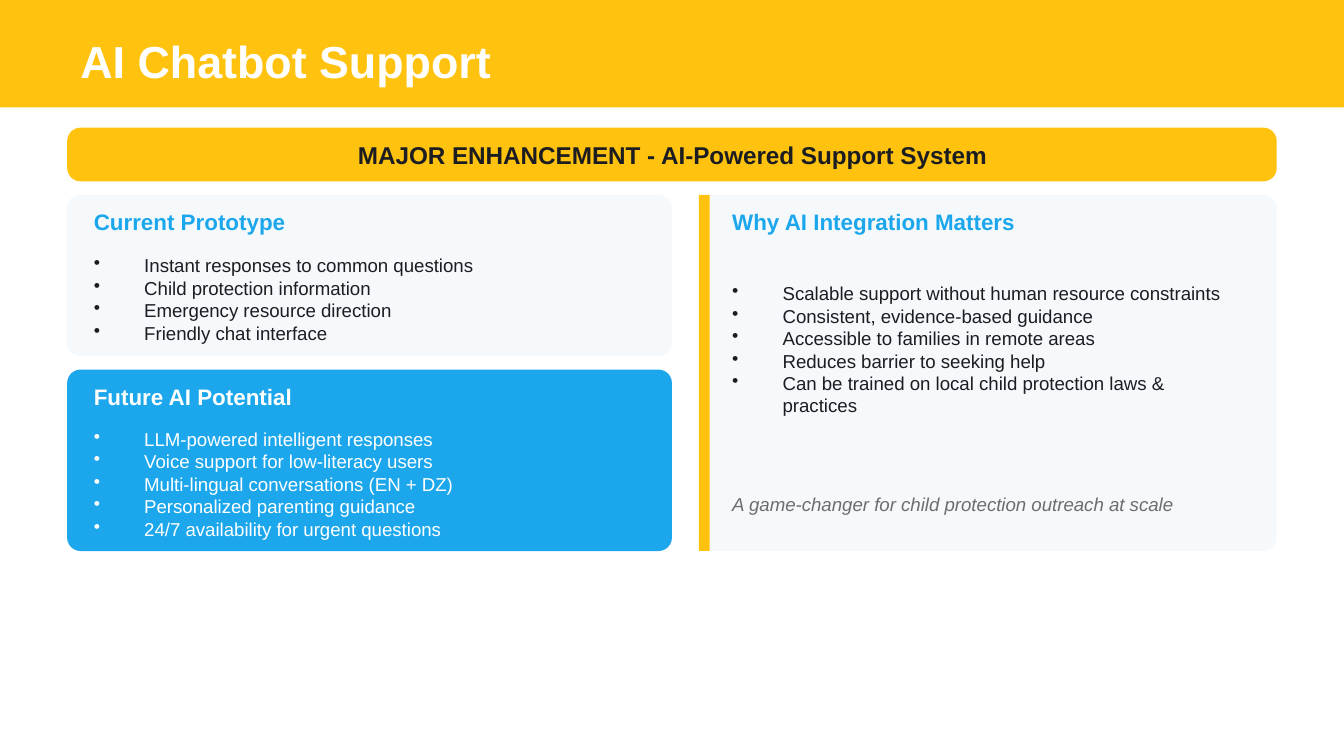
import pptx
import pptx.dml.color
import pptx.enum.shapes
import pptx.enum.text
import pptx.oxml.ns
import pptx.util
import lxml.etree

PX = 4572  # 200 px to the inch
CORNER = 20
INDENT = 75
COLORS = {
    "yellow": "FFC20E",
    "blue": "1CA7EC",
    "pale": "F5F9FC",
    "ink": "1B1D21",
    "gray": "6D6D6D",
    "white": "FFFFFF",
}
TITLE = {"size": 24, "bold": True}
BANNER = {"size": 13, "bold": True}
HEADING = {"size": 12, "bold": True}
BODY = {"size": 10}
CLOSING = {"size": 10, "italic": True}

presentation = pptx.Presentation()
presentation.slide_width = 2000 * PX
presentation.slide_height = 1125 * PX
slide = presentation.slides.add_slide(presentation.slide_layouts[6])


def add_panel(box, color, rounded=True):
    kinds = pptx.enum.shapes.MSO_SHAPE
    kind = kinds.ROUNDED_RECTANGLE if rounded else kinds.RECTANGLE
    shape = slide.shapes.add_shape(kind, *[length * PX for length in box])
    if rounded:
        shape.adjustments[0] = CORNER / min(box[2:])
    shape.shadow.inherit = False
    shape.fill.solid()
    shape.fill.fore_color.rgb = pptx.dml.color.RGBColor.from_string(COLORS[color])
    shape.line.fill.background()


def add_text(box, lines, color, style, align="LEFT", bullets=False):
    text_box = slide.shapes.add_textbox(*[length * PX for length in box])
    frame = text_box.text_frame
    frame.word_wrap = True
    frame.vertical_anchor = pptx.enum.text.MSO_ANCHOR.MIDDLE
    frame.text = "\n".join(lines)
    for paragraph in frame.paragraphs:
        paragraph.alignment = getattr(pptx.enum.text.PP_ALIGN, align)
        if bullets:
            properties = paragraph._p.get_or_add_pPr()
            properties.set("marL", str(INDENT * PX))
            properties.set("indent", str(-INDENT * PX))
            for tag, name, value in [("a:buSzPct", "val", "100000"),
                                     ("a:buChar", "char", "•")]:
                bullet = lxml.etree.SubElement(properties, pptx.oxml.ns.qn(tag))
                bullet.set(name, value)
        font = paragraph.runs[0].font
        values = {**style, "name": "Arial", "size": pptx.util.Pt(style["size"])}
        for name, value in values.items():
            setattr(font, name, value)
        font.color.rgb = pptx.dml.color.RGBColor.from_string(COLORS[color])


# Title bar
add_panel((0, 0, 2000, 160), "yellow", rounded=False)
add_text((100, 40, 1800, 100), ["AI Chatbot Support"], "white", TITLE)

# Banner
add_panel((100, 190, 1800, 80), "yellow")
add_text((100, 200, 1800, 60), ["MAJOR ENHANCEMENT - AI-Powered Support System"],
         "ink", BANNER, align="CENTER")

# Left cards: top, height, fill, heading color, text color, heading, items
cards = [
    (290, 240, "pale", "blue", "ink", "Current Prototype", [
        "Instant responses to common questions",
        "Child protection information",
        "Emergency resource direction",
        "Friendly chat interface",
    ]),
    (550, 270, "blue", "white", "white", "Future AI Potential", [
        "LLM-powered intelligent responses",
        "Voice support for low-literacy users",
        "Multi-lingual conversations (EN + DZ)",
        "Personalized parenting guidance",
        "24/7 availability for urgent questions",
    ]),
]
for top, height, fill, heading_color, text_color, heading, items in cards:
    add_panel((100, top, 900, height), fill)
    add_text((120, top + 10, 860, 60), [heading], heading_color, HEADING)
    add_text((120, top + 70, 860, height - 70), items, text_color, BODY, bullets=True)

# Right card with accent strip
add_panel((1040, 290, 860, 530), "pale")
add_panel((1040, 290, 16, 530), "yellow", rounded=False)
add_text((1070, 300, 800, 60), ["Why AI Integration Matters"], "blue", HEADING)
reasons = [
    "Scalable support without human resource constraints",
    "Consistent, evidence-based guidance",
    "Accessible to families in remote areas",
    "Reduces barrier to seeking help",
    "Can be trained on local child protection laws & practices",
]
add_text((1070, 370, 800, 300), reasons, "ink", BODY, bullets=True)
add_text((1070, 700, 800, 100), ["A game-changer for child protection outreach at scale"],
         "gray", CLOSING)

presentation.save("out.pptx")
